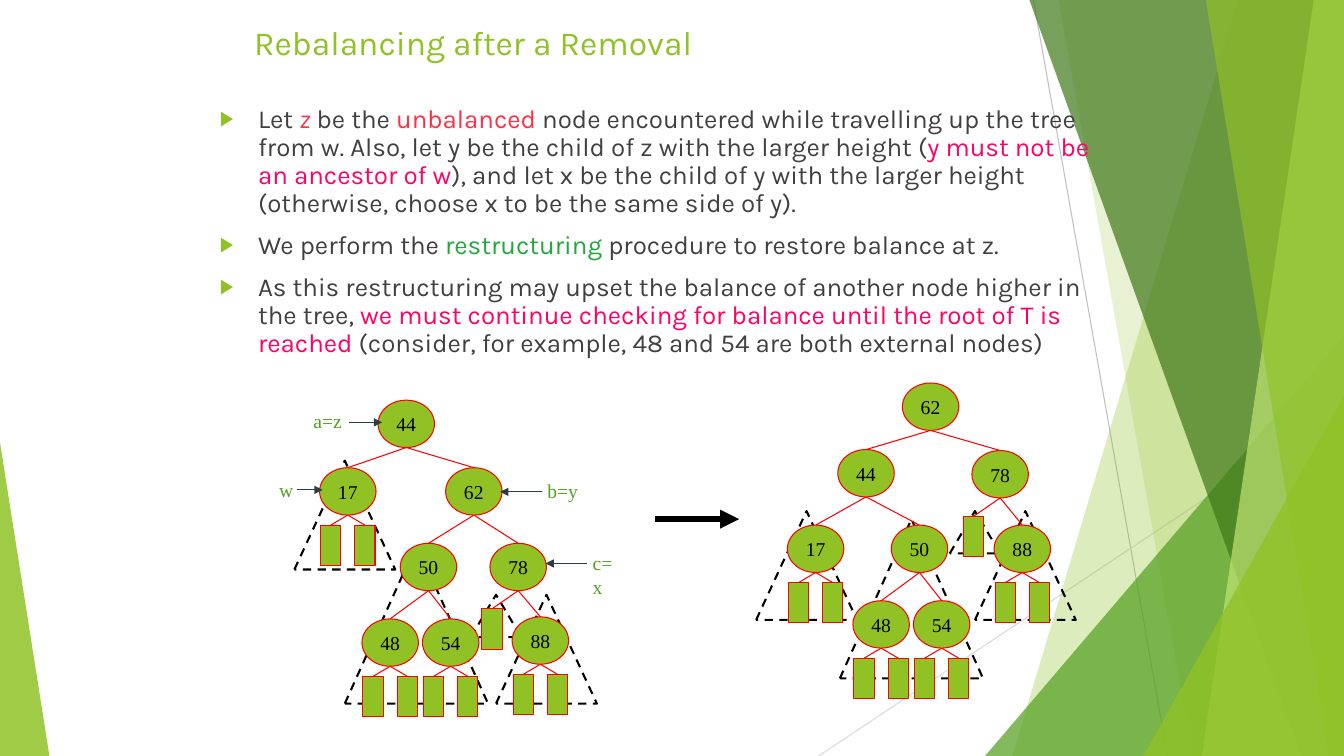
from lxml.etree import SubElement
from pptx import Presentation
from pptx.dml.color import RGBColor
from pptx.enum.dml import MSO_LINE
from pptx.enum.shapes import MSO_CONNECTOR, MSO_SHAPE
from pptx.enum.text import MSO_ANCHOR, MSO_AUTO_SIZE, PP_ALIGN
from pptx.oxml.ns import qn
from pptx.shapes.connector import Connector
from pptx.util import Pt

PX = 9144  # 100 px to the inch
GREEN, LEAF, RED, BLACK = "90C226", "54A021", "FF0000", "000000"
GREY, PINK, CORAL = "404040", "FF0066", "FF3045"
SERIF, SANS = "Times New Roman", "Karla"
rgb = RGBColor.from_string


def style(shape, fill=None, line=None, width=0.75, alpha=None, dash=None, tail=False):
    """Set fill and outline, and take the theme shadow off."""
    props = shape.element.spPr
    is_line = isinstance(shape, Connector)
    if fill:
        shape.fill.solid()
        shape.fill.fore_color.rgb = rgb(fill)
    elif not is_line:
        shape.fill.background()
    if alpha:
        tint = props.find(qn("a:solidFill")).find(qn("a:srgbClr"))
        SubElement(tint, qn("a:alpha"), val=str(alpha * 1000))
    if line:
        shape.line.color.rgb = rgb(line)
        shape.line.width = Pt(width)
    else:
        shape.line.fill.background()
    if dash:
        shape.line.dash_style = dash
    if tail:
        SubElement(props.find(qn("a:ln")), qn("a:tailEnd"), type="triangle")
    if is_line:
        SubElement(props, qn("a:effectLst"))
    else:
        shape.shadow.inherit = False


def write(para, text, size=14, face=SERIF, color=BLACK, italic=False):
    run = para.add_run()
    run.text = text
    font = run.font
    font.size, font.name, font.italic = Pt(size), face, italic
    font.color.rgb = rgb(color)


deck = Presentation()
deck.slide_width, deck.slide_height = 1333 * PX, 750 * PX
slide = deck.slides.add_slide(deck.slide_layouts[1])
shapes = slide.shapes
title, body = slide.placeholders

# Background facets
for ends, color in (
    ((1025, 0, 1158, 750), "BFBFBF"),
    ((1333, 403, 812, 750), "D9D9D9"),
):
    rule = shapes.add_connector(MSO_CONNECTOR.STRAIGHT, *(v * PX for v in ends))
    style(rule, line=color)

# A band holds its top and bottom left x; a wedge holds its box and apex.
facets = (
    ("band", (1228, 1004), GREEN, 30),
    ("band", (1050, 1183), GREEN, 20),
    ("wedge", (977, 333, 356, 417, 1), LEAF, 72),
    ("band", (1021, 1291), "3F7819", 70),
    ("band", (1303, 1192), "C0E474", 70),
    ("band", (1196, 1318), GREEN, 65),
    ("wedge", (1134, 393, 199, 357, 1), GREEN, 80),
    ("wedge", (0, 439, 49, 311, 0), GREEN, 85),
)
for kind, spots, color, alpha in facets:
    if kind == "band":
        top, base = spots
        pen = shapes.build_freeform(top, 0, scale=PX)
        pen.add_line_segments([(1333, 0), (1333, 750), (base, 750)], close=True)
        facet = pen.convert_to_shape()
    else:
        *box, apex = spots
        facet = shapes.add_shape(MSO_SHAPE.ISOSCELES_TRIANGLE, *(v * PX for v in box))
        facet.adjustments[0] = apex
    style(facet, fill=color, alpha=alpha)

# Title and list, lifted above the facets
for holder, box in ((title, (242, 17, 850, 67)), (body, (208, 100, 917, 275))):
    shapes.element.append(holder.element)
    holder.left, holder.top, holder.width, holder.height = (v * PX for v in box)
    holder.text_frame.auto_size = MSO_AUTO_SIZE.NONE
    holder.text_frame.vertical_anchor = MSO_ANCHOR.TOP

head = title.text_frame.paragraphs[0]
head.alignment = PP_ALIGN.LEFT
write(head, "Rebalancing after a Removal", size=24, face=SANS, color=GREEN)

points = (
    (
        ("Let ", GREY),
        ("z", CORAL),
        (" be the ", GREY),
        ("unbalanced", CORAL),
        (" node encountered while travelling up the tree from w. Also, let y be "
         "the child of z with the larger height (", GREY),
        ("y must not be an ancestor of w", PINK),
        ("), and let x be the child of y with the larger height (otherwise, "
         "choose x to be the same side of y).", GREY),
    ),
    (
        ("We perform the ", GREY),
        ("restructuring ", "24A63E"),
        ("procedure to restore balance at z.", GREY),
    ),
    (
        ("As this restructuring may upset the balance of another node higher in "
         "the tree, ", GREY),
        ("we must continue checking for balance until the root of T is reached ", PINK),
        ("(consider, for example, 48 and 54 are both external nodes)", GREY),
    ),
)
for i, runs in enumerate(points):
    para = body.text_frame.paragraphs[0] if i == 0 else body.text_frame.add_paragraph()
    props = para._p.get_or_add_pPr()
    props.set("marL", str(38 * PX))
    props.set("indent", str(-38 * PX))
    SubElement(SubElement(props, qn("a:buClr")), qn("a:srgbClr"), val=GREEN)
    SubElement(props, qn("a:buSzPct"), val="80000")
    SubElement(props, qn("a:buFont"), typeface="Arial")
    SubElement(props, qn("a:buChar"), char="▶")
    para.line_spacing = 0.9
    para.space_before = Pt(10 if i else 0)
    for text, color in runs:
        write(para, text, size=18.5, face=SANS, color=color, italic=text == "z")

# Trees: centre x and top y of each node, its children, and subtree outlines
BIG, MID, TINY = (100, 108), (142, 158), (50, 42)
before = (
    {44: (403, 397), 17: (345, 464), 62: (470, 464), 50: (425, 539),
     78: (514, 539), 48: (387, 614), 54: (447, 614), 88: (536, 612)},
    {44: (17, 62), 62: (50, 78), 50: (48, 54), 78: (88,)},
    ((492, 590, *BIG), (467, 590, *TINY), (342, 540, *MID), (292, 457, *BIG)),
)
after = (
    {62: (923, 380), 44: (859, 446), 78: (992, 447), 17: (809, 521),
     50: (912, 521), 88: (1014, 521), 48: (874, 596), 54: (934, 596)},
    {62: (44, 78), 44: (17, 50), 50: (48, 54), 78: (88,)},
    ((967, 507, *BIG), (942, 507, *TINY), (833, 515, *MID), (750, 507, *BIG)),
)
WIDE, HIGH = 56, 47
for nodes, kids, hulls in (before, after):
    for box in hulls:
        hull = shapes.add_shape(MSO_SHAPE.ISOSCELES_TRIANGLE, *(v * PX for v in box))
        style(hull, line=BLACK, width=1.5, dash=MSO_LINE.DASH)

    edges = [(key, *nodes[kid]) for key, row in kids.items() for kid in row]
    leaves = []
    for key, (x, y) in nodes.items():
        if key == 78:
            leaves.append((key, x - 26, y + 65))
        elif key not in kids:
            leaves += [(key, x + step, y + 57) for step in (-17, 17)]
    for key, x, y in edges + leaves:
        mid, top = nodes[key]
        ends = (mid, top + HIGH, x, y)
        edge = shapes.add_connector(MSO_CONNECTOR.STRAIGHT, *(v * PX for v in ends))
        style(edge, line=RED)
    for key, x, y in leaves:
        box = (x - 10, y, 20, 40)
        leaf = shapes.add_shape(MSO_SHAPE.RECTANGLE, *(v * PX for v in box))
        style(leaf, fill=GREEN, line=RED)
    for key, (x, y) in nodes.items():
        box = (x - WIDE // 2, y, WIDE, HIGH)
        node = shapes.add_shape(MSO_SHAPE.OVAL, *(v * PX for v in box))
        style(node, fill=GREEN, line=RED)
        frame = node.text_frame
        frame.word_wrap = False
        frame.vertical_anchor = MSO_ANCHOR.MIDDLE
        para = frame.paragraphs[0]
        para.alignment = PP_ALIGN.CENTER
        write(para, str(key))

# Labels and arrows
for text, *box in (
    ("w", 267, 469, 34, 33),
    ("c=x", 578, 542, 49, 33),
    ("b=y", 533, 470, 51, 33),
    ("a=z", 301, 401, 48, 33),
):
    label = shapes.add_textbox(*(v * PX for v in box))
    label.text_frame.word_wrap = False
    write(label.text_frame.paragraphs[0], text, color=LEAF)

for start, end, y, color, width in (
    (346, 379, 419, "2C3C43", 0.75),
    (295, 320, 486, "2C3C43", 0.75),
    (538, 496, 488, "2C3C43", 0.75),
    (582, 541, 559, "2C3C43", 0.75),
    (650, 733, 515, BLACK, 4.5),
):
    ends = (start, y, end, y)
    arrow = shapes.add_connector(MSO_CONNECTOR.STRAIGHT, *(v * PX for v in ends))
    style(arrow, line=color, width=width, tail=True)

deck.save("out.pptx")
